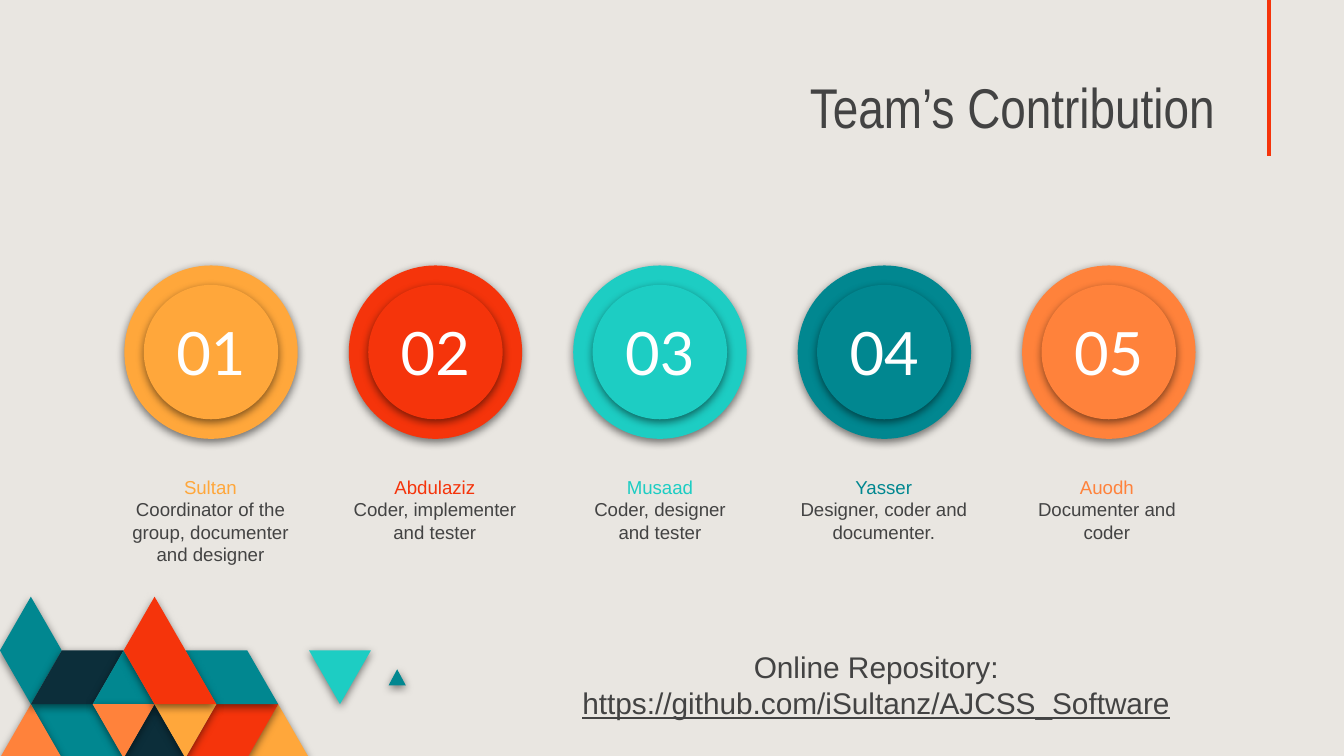
"""Build the team contribution slide with five numbered member circles."""
from lxml.etree import SubElement
from pptx import Presentation
from pptx.dml.color import RGBColor
from pptx.enum.shapes import MSO_CONNECTOR, MSO_SHAPE
from pptx.enum.text import MSO_ANCHOR, MSO_AUTO_SIZE, PP_ALIGN
from pptx.oxml.ns import qn
from pptx.util import Inches, Pt

SAND = RGBColor(0xE9, 0xE6, 0xE1)
GRAY = RGBColor(0x43, 0x43, 0x43)
WHITE = RGBColor(0xFF, 0xFF, 0xFF)
AMBER = RGBColor(0xFF, 0xA7, 0x3B)
RED = RGBColor(0xF5, 0x34, 0x0B)
AQUA = RGBColor(0x1D, 0xCD, 0xC3)
TEAL = RGBColor(0x01, 0x87, 0x90)
ORANGE = RGBColor(0xFF, 0x82, 0x3B)
NAVY = RGBColor(0x0C, 0x2E, 0x3A)


def write(frame, runs, size, font="Arial", align=PP_ALIGN.CENTER,
          anchor=MSO_ANCHOR.TOP, wrap=True):
    """Fill a frame with (text, color, underline) runs; a newline is a break."""
    frame.word_wrap = wrap
    frame.auto_size = MSO_AUTO_SIZE.NONE
    frame.vertical_anchor = anchor
    frame.margin_left = frame.margin_right = Inches(0.1)
    frame.margin_top = frame.margin_bottom = Inches(0.1)
    paragraph = frame.paragraphs[0]
    paragraph.alignment = align
    paragraph.line_spacing = 1.0
    for text, color, underline in runs:
        if text == "\n":
            paragraph.add_line_break()
            line_break = paragraph._p.findall(qn("a:br"))[-1]
            SubElement(line_break, qn("a:rPr"), sz=str(size * 100))
            continue
        run = paragraph.add_run()
        run.text = text
        run.font.size = Pt(size)
        run.font.name = font
        run.font.color.rgb = color
        if underline:
            run.font.underline = True


def paint(shape, color):
    """Give a shape a plain fill, no outline and a soft shadow below."""
    shape.fill.solid()
    shape.fill.fore_color.rgb = color
    shape.line.fill.background()
    shape.shadow.inherit = False
    effects = shape._element.spPr.find(qn("a:effectLst"))
    shadow = SubElement(effects, qn("a:outerShdw"), blurRad=str(Pt(4.5)),
                        dist=str(Pt(1.5)), dir="5400000", algn="bl",
                        rotWithShape="0")
    black = SubElement(shadow, qn("a:srgbClr"), val="000000")
    SubElement(black, qn("a:alpha"), val="50000")


deck = Presentation()
deck.slide_width = Inches(10)
deck.slide_height = Inches(10 * 9 / 16)
slide = deck.slides.add_slide(deck.slide_layouts[5])
slide.background.fill.solid()
slide.background.fill.fore_color.rgb = SAND

title = slide.shapes.title
title.left, title.top = Inches(0.29), Inches(0.51)
title.width, title.height = Inches(8.85), Inches(0.63)
write(title.text_frame, [("Team’s Contribution", GRAY, False)], 30,
      font="Arial Narrow", align=PP_ALIGN.RIGHT, anchor=MSO_ANCHOR.BOTTOM)

TILE_WIDTH, TILE_HEIGHT, MOSAIC_TOP = 0.23, 0.4, 4.44
mosaic = [
    (AMBER, [(10, 3), (9, 2), (8, 3)]),
    (RED, [(9, 2), (7, 2), (6, 3), (8, 3)]),
    (TEAL, [(4, 3), (3, 2), (1, 2), (2, 3)]),
    (ORANGE, [(2, 3), (1, 2), (0, 3)]),
    (NAVY, [(6, 3), (5, 2), (4, 3)]),
    (TEAL, [(9, 2), (8, 1), (6, 1), (7, 2)]),
    (TEAL, [(13.13, 1.65), (12.85, 1.35), (12.57, 1.65)]),
    (AQUA, [(12, 1), (10, 1), (11, 2)]),
    (TEAL, [(2, 1), (1, 0), (0, 1), (1, 2)]),
    (NAVY, [(4, 1), (2, 1), (1, 2), (3, 2)]),
    (TEAL, [(5, 2), (4, 1), (3, 2)]),
    (ORANGE, [(5, 2), (3, 2), (4, 3)]),
    (AMBER, [(7, 2), (5, 2), (6, 3)]),
    (RED, [(7, 2), (5, 0), (4, 1), (5, 2)]),
]
for color, corners in mosaic:
    points = [(Inches(column * TILE_WIDTH), Inches(MOSAIC_TOP + row * TILE_HEIGHT))
              for column, row in corners]
    outline = slide.shapes.build_freeform(*points[0])
    outline.add_line_segments(points[1:], close=True)
    paint(outline.convert_to_shape(), color)

accent = slide.shapes.add_connector(MSO_CONNECTOR.STRAIGHT, Inches(9.44), 0,
                                    Inches(9.44), Inches(1.16))
accent.line.color.rgb = RED
accent.line.width = Pt(2.25)
SubElement(accent._element.spPr, qn("a:effectLst"))

members = [
    ("Sultan", "Coordinator of the group, documenter and designer", AMBER, 0.79, 1.55),
    ("Abdulaziz", "Coder, implementer and tester", RED, 2.46, 1.55),
    ("Musaad", "Coder, designer and tester", AQUA, 4.22, 1.38),
    ("Yasser", "Designer, coder and documenter.", TEAL, 5.85, 1.45),
    ("Auodh", "Documenter and coder", ORANGE, 7.46, 1.55),
]
for index, (name, role, color, caption_left, caption_width) in enumerate(members):
    center = 1.57 + 1.67 * index
    for diameter in (1.29, 1):
        disc = slide.shapes.add_shape(
            MSO_SHAPE.OVAL, Inches(center - diameter / 2),
            Inches(2.62 - diameter / 2), Inches(diameter), Inches(diameter))
        paint(disc, color)
    write(disc.text_frame, [(f"{index + 1:02}", WHITE, False)], 32,
          font="Lato", anchor=MSO_ANCHOR.MIDDLE, wrap=False)
    caption = slide.shapes.add_textbox(
        Inches(caption_left), Inches(3.44), Inches(caption_width), Inches(1.08))
    write(caption.text_frame,
          [(name, color, False), ("\n", color, False), (role, GRAY, False)], 10)

repository = slide.shapes.add_textbox(Inches(3.81), Inches(4.73),
                                      Inches(5.42), Inches(0.63))
write(repository.text_frame,
      [("Online Repository: ", GRAY, False),
       ("https://github.com/iSultanz/AJCSS_Software", GRAY, True)], 16)

deck.save("out.pptx")
